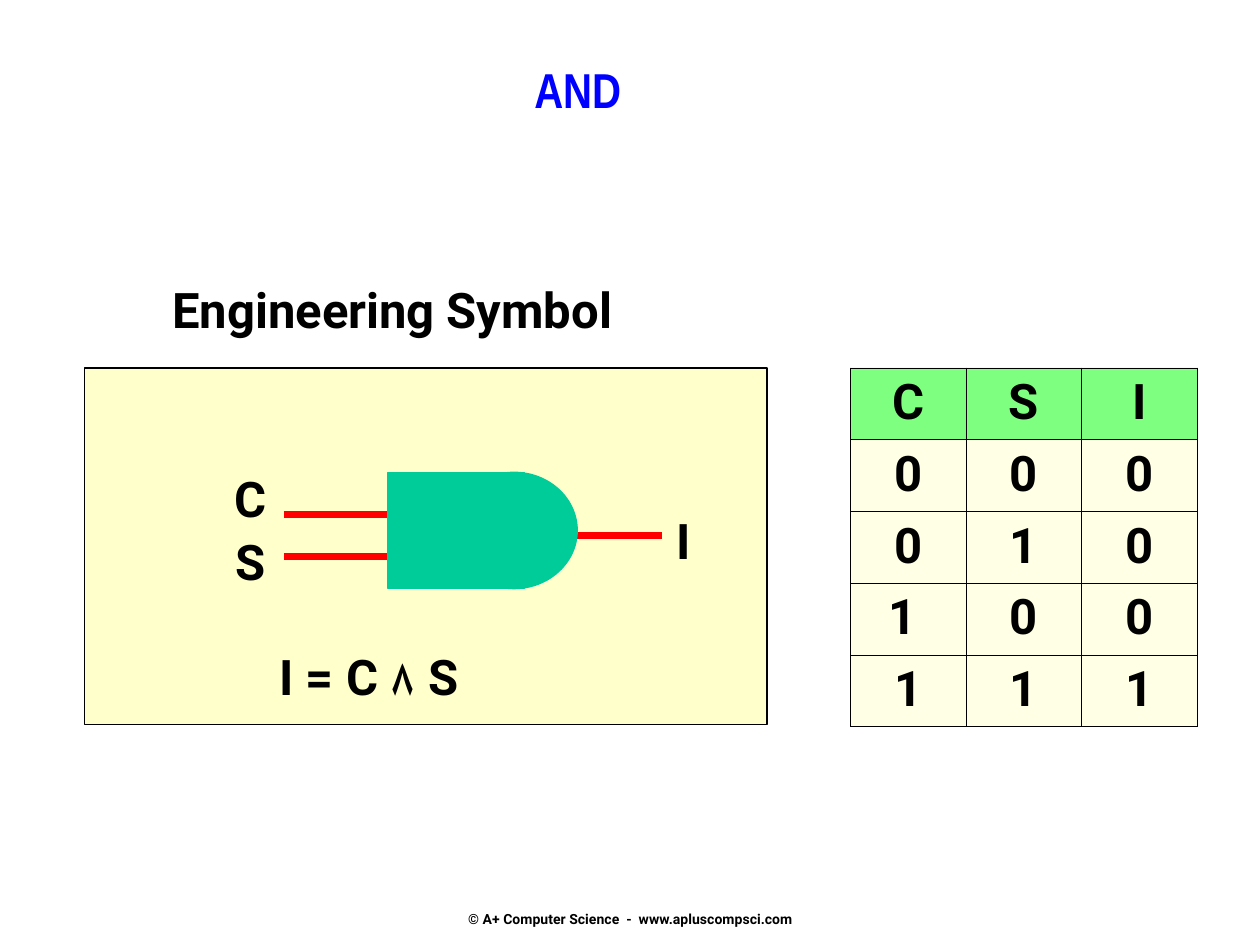
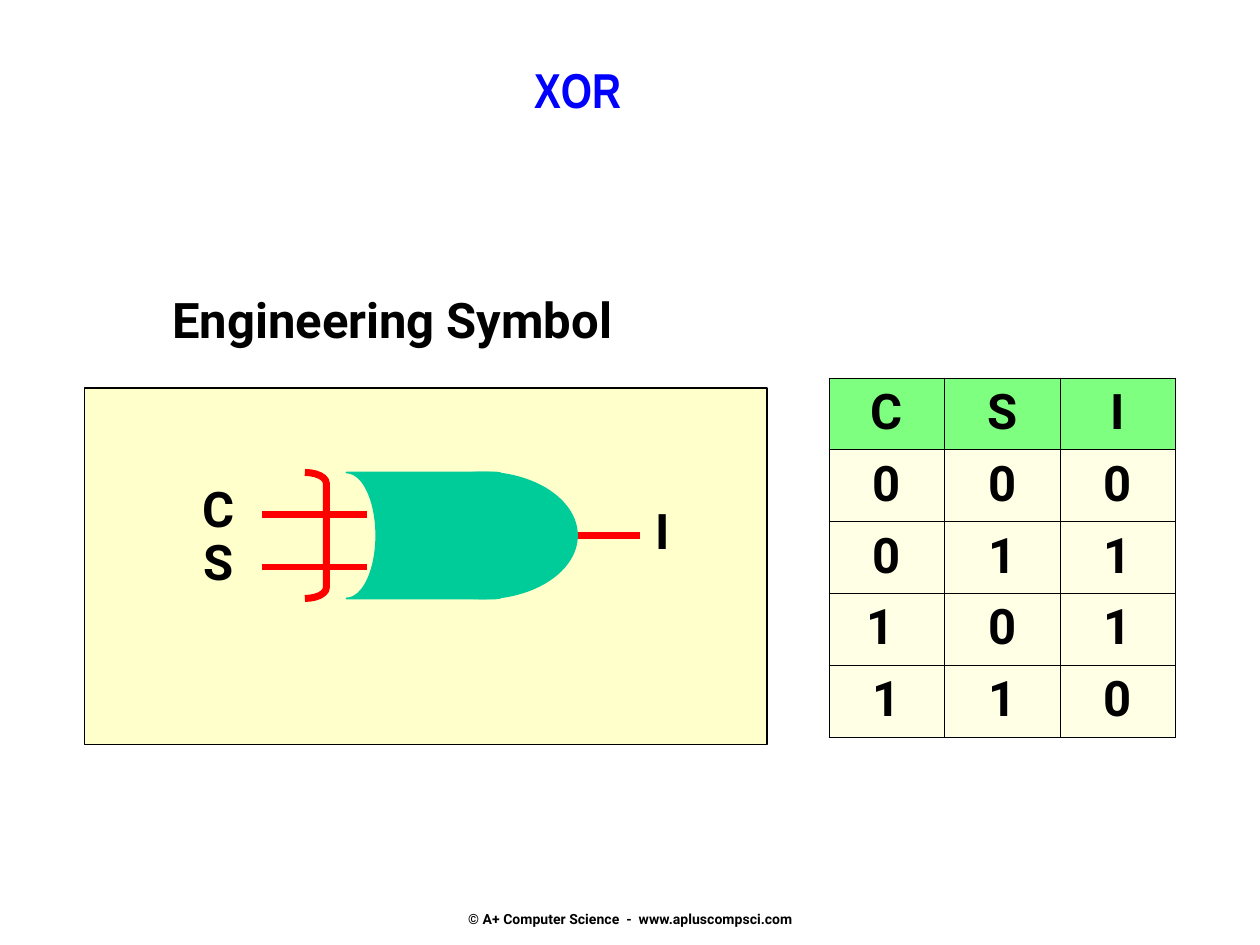
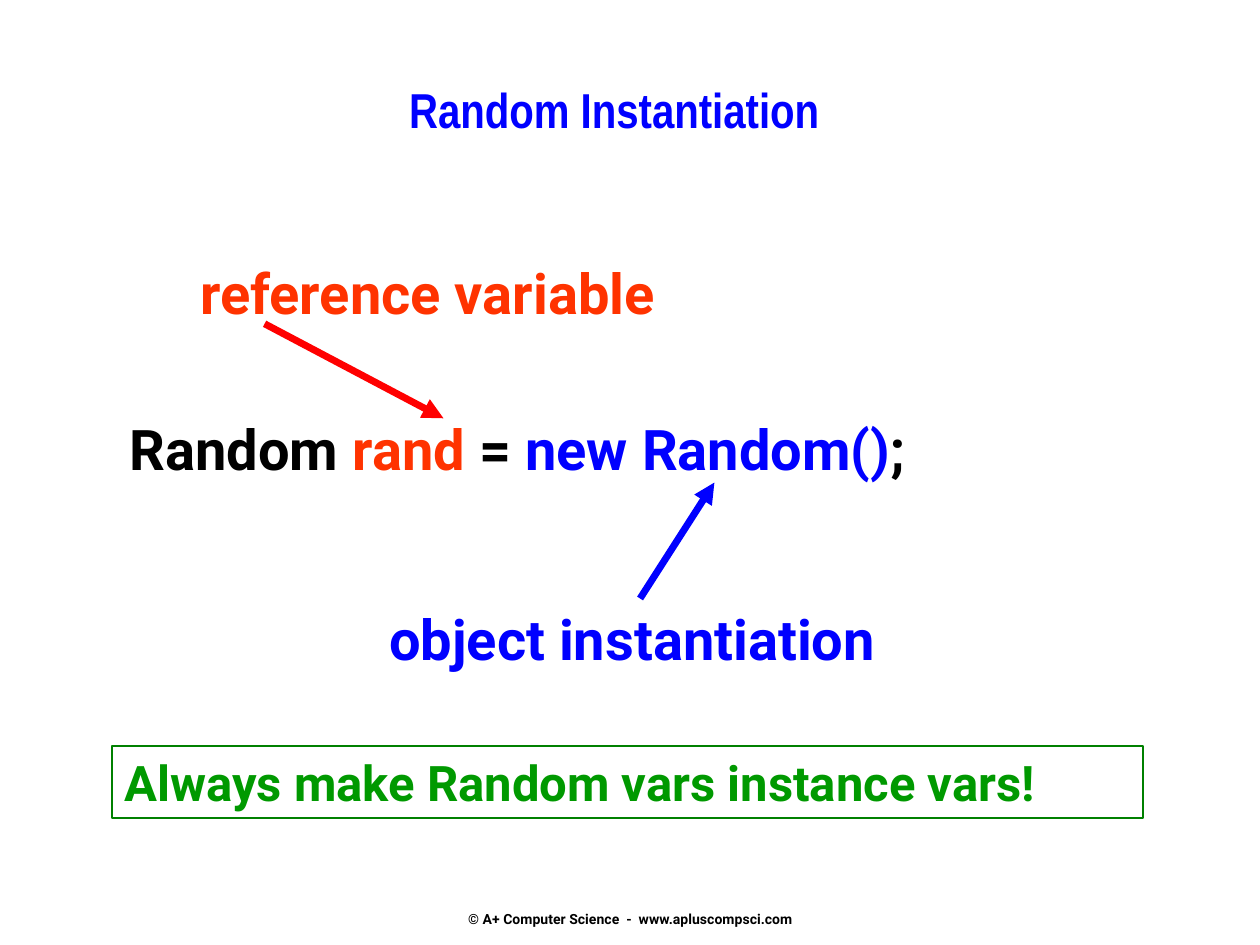
"""Build three slides on logic gates and Random instantiation."""
from lxml import etree
from pptx import Presentation
from pptx.dml.color import RGBColor
from pptx.enum.shapes import MSO_CONNECTOR, MSO_SHAPE
from pptx.enum.text import MSO_ANCHOR, MSO_AUTO_SIZE, PP_ALIGN
from pptx.oxml.ns import qn
from pptx.util import Inches, Pt

COLORS = {
    "white": "FFFFFF", "black": "000000", "blue": "0000FF", "red": "FF0000",
    "orange": "FF3300", "cream": "FFFFCC", "teal": "00CC99", "lime": "00FF00",
    "frame": "008000", "green": "009900",
}
TITLE_FONT = "Arial Narrow"
BODY_FONT = "Roboto"
TITLE_ONLY = 5
CENTER = PP_ALIGN.CENTER
LEFT = PP_ALIGN.LEFT
TOP = MSO_ANCHOR.TOP
MIDDLE = MSO_ANCHOR.MIDDLE
FIT_SHAPE = MSO_AUTO_SIZE.SHAPE_TO_FIT_TEXT
NO_FIT = MSO_AUTO_SIZE.NONE
STRAIGHT = MSO_CONNECTOR.STRAIGHT
RECTANGLE = MSO_SHAPE.RECTANGLE
OVAL = MSO_SHAPE.OVAL
STORAGE = MSO_SHAPE.FLOWCHART_STORED_DATA
BRACKET = MSO_SHAPE.RIGHT_BRACKET
FOOTER = "© A+ Computer Science  -  www.apluscompsci.com"


def rgb(name):
    return RGBColor.from_string(COLORS[name])


class Painter:
    """Hold the deck style and draw on the current slide."""

    def __init__(self):
        self.deck = Presentation()
        self.deck.slide_width = Inches(10)
        self.deck.slide_height = Inches(7.5)
        self.page = None

    def new_page(self, title, place):
        self.page = self.deck.slides.add_slide(self.deck.slide_layouts[TITLE_ONLY])
        box = self.page.shapes.title
        box.left, box.top, box.width, box.height = map(Inches, place)
        self.set_text(box, [(title, "blue")], 28, CENTER, TOP, TITLE_FONT)
        footer = self.page.shapes.add_textbox(*map(Inches, (3.42, 7.04, 3.17, 0.5)))
        self.set_text(footer, [(FOOTER, "black")], 8, CENTER, MIDDLE)

    def set_text(self, box, spans, size, align=LEFT, anchor=TOP, font=BODY_FONT):
        frame = box.text_frame
        frame.word_wrap = True
        frame.auto_size = NO_FIT
        frame.vertical_anchor = anchor
        self.fill_paragraph(frame.paragraphs[0], spans, size, align, font)

    def fill_paragraph(self, para, spans, size, align, font=BODY_FONT):
        para.alignment = align
        for text, color in spans:
            span = para.add_run()
            span.text = text
            span.font.name = font
            span.font.size = Pt(size)
            span.font.bold = True
            span.font.color.rgb = rgb(color)

    def label(self, place, text, color="black", size=28):
        box = self.page.shapes.add_textbox(*map(Inches, place))
        self.set_text(box, [(text, color)], size)
        box.text_frame.word_wrap = False
        box.text_frame.auto_size = FIT_SHAPE

    def text_panel(self, place, spans, size, fill=None, line=None):
        box = self.shape(RECTANGLE, place, fill, line)
        self.set_text(box, spans, size)

    def shape(self, kind, place, fill=None, line=None, weight=1):
        shape = self.page.shapes.add_shape(kind, *map(Inches, place))
        shape.shadow.inherit = False
        if fill:
            shape.fill.solid()
            shape.fill.fore_color.rgb = rgb(fill)
        else:
            shape.fill.background()
        if line:
            shape.line.color.rgb = rgb(line)
            shape.line.width = Pt(weight)
        else:
            shape.line.fill.background()
        return shape

    def line(self, start, end, color="red", arrow=False):
        line = self.page.shapes.add_connector(STRAIGHT, *map(Inches, start + end))
        line.line.color.rgb = rgb(color)
        line.line.width = Pt(4)
        properties = line.element.spPr
        if arrow:
            etree.SubElement(properties.find(qn("a:ln")), qn("a:tailEnd"), type="triangle")
        etree.SubElement(properties, qn("a:effectLst"))

    def truth_table(self, left, top, rows):
        count, columns = len(rows), len(rows[0])
        frame = self.page.shapes.add_table(
            count, columns, Inches(left), Inches(top), Inches(2.75), Inches(2.85))
        table = frame.table
        table.first_row = False
        table.horz_banding = False
        for row_index, values in enumerate(rows):
            fill = "cream" if row_index else "lime"
            for column_index, value in enumerate(values):
                self.cell(table.cell(row_index, column_index), value, fill)

    def cell(self, cell, value, fill):
        self.fill_paragraph(cell.text_frame.paragraphs[0], [(value, "black")], 28, CENTER)
        cell.fill.solid()
        cell.fill.fore_color.rgb = rgb(fill)
        properties = cell._tc.get_or_add_tcPr()
        tint = properties.find(qn("a:solidFill")).find(qn("a:srgbClr"))
        etree.SubElement(tint, qn("a:alpha"), val="50000")
        for index, side in enumerate(("lnL", "lnR", "lnT", "lnB")):
            border = etree.Element(qn("a:" + side), w=str(Pt(0.45)))
            paint = etree.SubElement(border, qn("a:solidFill"))
            etree.SubElement(paint, qn("a:srgbClr"), val=COLORS["black"])
            properties.insert(index, border)

    def gate_page(self, title, heading_top, panel_top, table_place, results):
        self.new_page(title, (1.92, 0.42, 5.33, 1.17))
        self.label((1.27, heading_top, 4.07, 0.57), "Engineering Symbol")
        self.shape(RECTANGLE, (0.67, panel_top, 5.42, 2.83), "cream", "black")
        inputs = [("0", "0"), ("0", "1"), ("1 ", "0"), ("1", "1")]
        rows = [pair + (result,) for pair, result in zip(inputs, results)]
        self.truth_table(*table_place, [("C", "S", "I")] + rows)

    def wires(self, input_left, input_tops, output_left):
        for top in input_tops:
            self.line((input_left, top), (input_left + 0.83, top))
        self.line((output_left, 4.25), (output_left + 0.75, 4.25))


def and_slide(painter):
    painter.gate_page("AND", 2.17, 2.92, (6.75, 2.92), "0001")
    painter.wires(2.25, (4.08, 4.42), 4.5)
    painter.label((1.76, 3.67, 0.44, 0.57), "C")
    painter.label((1.77, 4.17, 0.41, 0.57), "S")
    painter.label((5.27, 4, 0.35, 0.57), "I")
    painter.label((2.12, 5.08, 1.68, 0.57), "I = C ۸ S")
    painter.shape(OVAL, (3.58, 3.75, 1, 0.92), "teal", "teal")
    painter.shape(RECTANGLE, (3.08, 3.75, 1.08, 0.92), "teal", "teal")


def xor_slide(painter):
    painter.gate_page("XOR", 2.25, 3.08, (6.58, 3), "0110")
    painter.wires(2.08, (4.08, 4.5), 4.33)
    painter.label((1.51, 3.75, 0.44, 0.57), "C")
    painter.label((1.52, 4.17, 0.41, 0.57), "S")
    painter.label((5.1, 3.92, 0.35, 0.57), "I")
    body = painter.shape(STORAGE, (2.75, 3.75, 1.42, 1), "teal", "teal")
    body.element.spPr.get_or_add_xfrm().set("flipH", "1")
    painter.shape(OVAL, (3.08, 3.75, 1.5, 1), "teal", "teal")
    bracket = painter.shape(BRACKET, (2.42, 3.75, 0.17, 1), line="red", weight=4)
    bracket.adjustments[0] = 0.5


def random_slide(painter):
    painter.new_page("Random Instantiation", (0.75, 0.58, 8.25, 0.83))
    statement = [("Random ", "black"), ("rand", "orange"), (" = ", "black"),
                 ("new Random()", "blue"), (";", "black")]
    painter.text_panel((0.93, 3.24, 7.4, 0.63), statement, 32, fill="white")
    painter.line((2.1, 2.57), (3.52, 3.32), arrow=True)
    painter.label((1.49, 2, 4.27, 0.64), "reference variable", "orange", 32)
    painter.line((5.08, 4.75), (5.67, 3.83), "blue", arrow=True)
    painter.label((2.99, 4.75, 4.59, 0.64), "object instantiation", "blue", 32)
    advice = [("Always make Random vars instance vars!", "green")]
    painter.text_panel((0.89, 5.92, 8.18, 0.57), advice, 28, line="frame")


def main():
    painter = Painter()
    and_slide(painter)
    xor_slide(painter)
    random_slide(painter)
    painter.deck.save("out.pptx")


if __name__ == "__main__":
    main()
